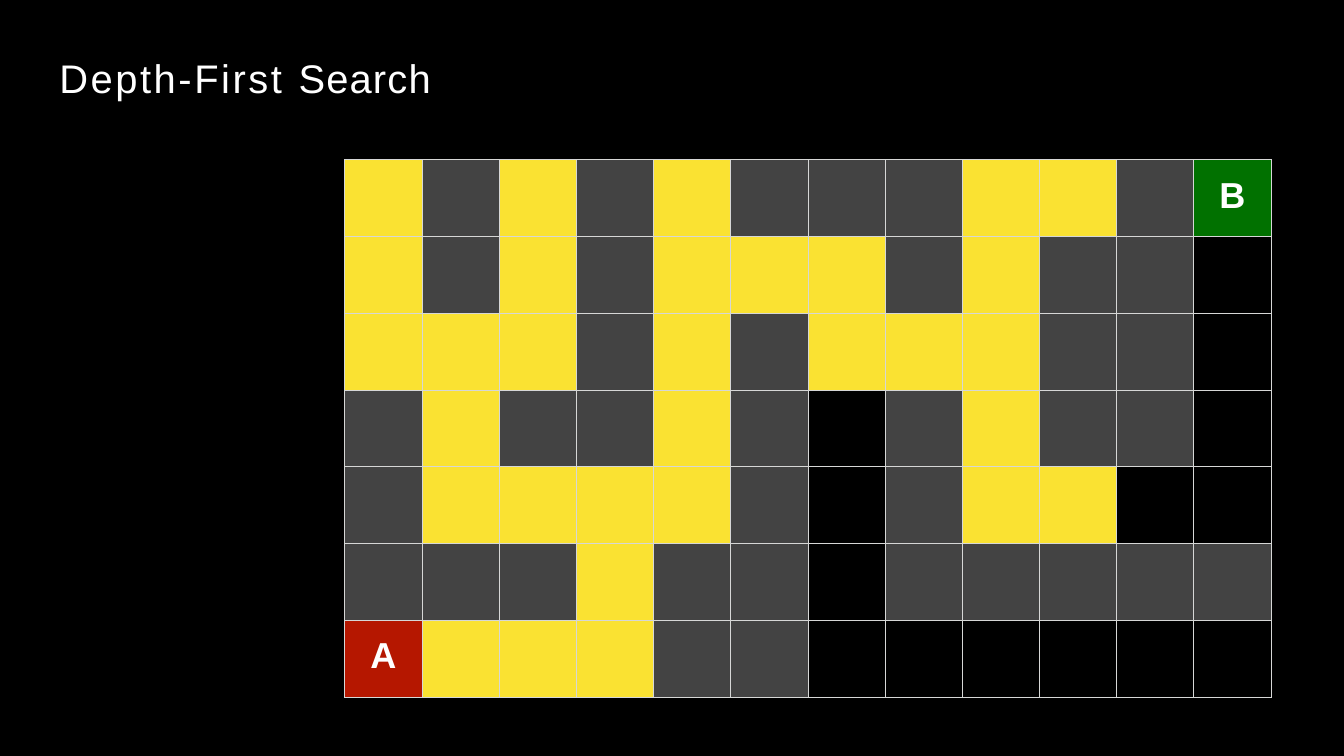
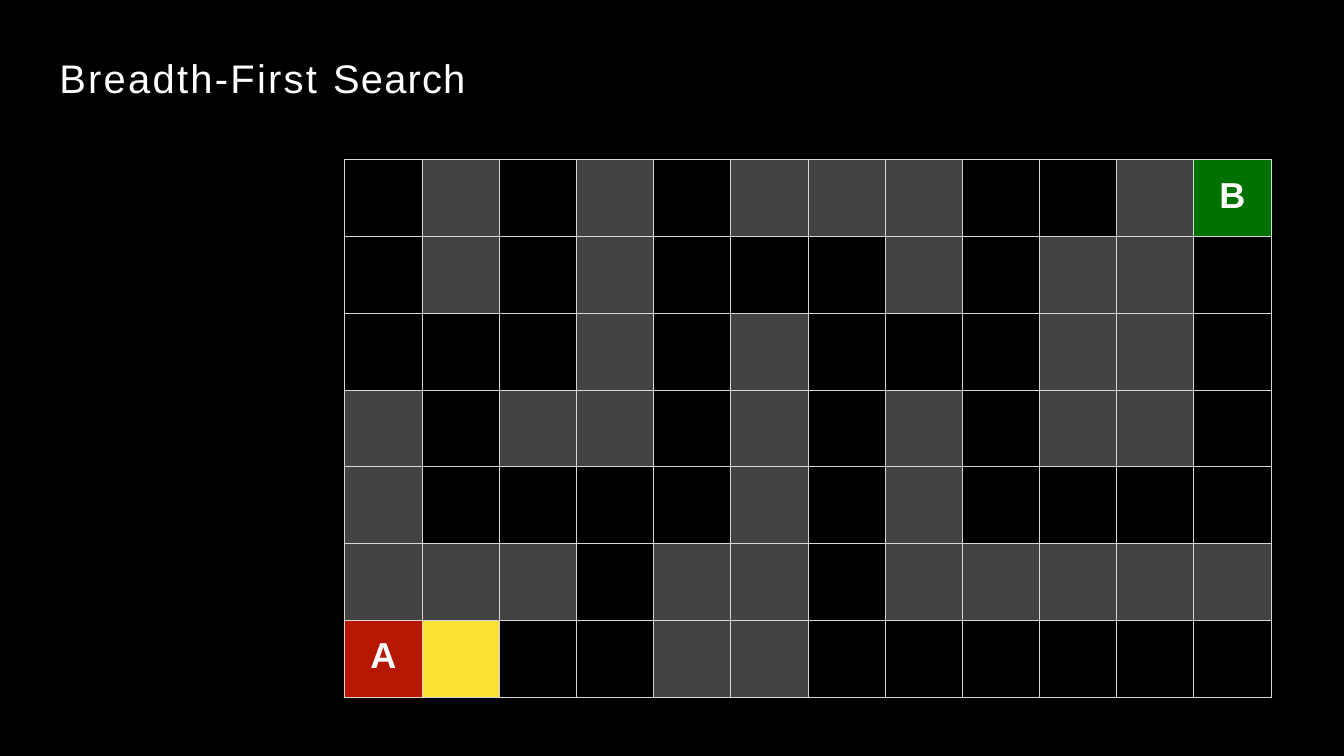
from lxml.etree import SubElement
from pptx import Presentation
from pptx.dml.color import RGBColor
from pptx.enum.text import MSO_ANCHOR as Anchor, MSO_AUTO_SIZE as AutoSize, PP_ALIGN as Align
from pptx.oxml.ns import qn
from pptx.util import Inches, Pt

BLACK, WHITE, BORDER, YELLOW = "000000", "FFFFFF", "D6D7D6", "FAE232"
FILLS = {".": BLACK, "#": "434343", "A": "B51700", "B": "017100"}

MAZE = [
    ".#.#.###..#B",
    ".#.#...#.##.",
    "...#.#...##.",
    "#.##.#.#.##.",
    "#....#.#....",
    "###.##.#####",
    "A...##......",
]

SEARCHES = [
    ("Depth-First ", 3, 27.74, [
        (0, 2, 4, 8, 9),
        (0, 2, 4, 5, 6, 8),
        (0, 1, 2, 4, 6, 7, 8),
        (1, 4, 8),
        (1, 2, 3, 4, 8, 9),
        (3,),
        (1, 2, 3),
    ]),
    ("Breadth-First ", 2.7, 30.38, [(), (), (), (), (), (), (1,)]),
]


def color(code):
    return RGBColor.from_string(code)


class Deck:
    """Holds the shared style and the current slide; lengths are percent of the slide."""

    def __init__(self, width, height):
        self.presentation = Presentation()
        self.presentation.slide_width = Inches(width)
        self.presentation.slide_height = Inches(height)
        background = self.presentation.slide_master.background.fill
        background.solid()
        background.fore_color.rgb = color(BLACK)
        self.slide = None

    def box(self, left, top, width, height):
        across = self.presentation.slide_width / 100
        down = self.presentation.slide_height / 100
        return [round(n) for n in (left * across, top * down, width * across, height * down)]

    def style(self, paragraph, size, align, bold=False):
        paragraph.alignment = align
        font = paragraph.font
        font.name, font.size, font.bold = "Arial", Pt(size), bold
        font.color.rgb = color(WHITE)

    def add_slide(self):
        layout = self.presentation.slide_layouts[5]
        self.slide = self.presentation.slides.add_slide(layout)

    def title(self, parts, width):
        shape = self.slide.shapes.title
        shape.left, shape.top, shape.width, shape.height = self.box(4.37, 6.95, width, 6.55)
        frame = shape.text_frame
        frame.margin_left = frame.margin_top = Inches(0.01)
        frame.margin_right = frame.margin_bottom = 0
        frame.vertical_anchor = Anchor.TOP
        frame.word_wrap = True
        frame.auto_size = AutoSize.SHAPE_TO_FIT_TEXT
        paragraph = frame.paragraphs[0]
        self.style(paragraph, 47, Align.LEFT)
        for text, spacing in parts:
            run = paragraph.add_run()
            run.text = text
            run._r.get_or_add_rPr().set("spc", str(round(spacing * 100)))

    def borders(self, cell):
        properties = cell._tc.get_or_add_tcPr()
        for side in ("a:lnL", "a:lnR", "a:lnT", "a:lnB"):
            line = SubElement(properties, qn(side), w=str(Pt(1)))
            fill = SubElement(line, qn("a:solidFill"))
            SubElement(fill, qn("a:srgbClr"), val=BORDER)

    def maze(self, rows, explored):
        frame = self.slide.shapes.add_table(
            len(rows), len(rows[0]), *self.box(25.65, 21.1, 68.94, 71.14))
        table = frame.table
        table.first_row = table.horz_banding = False
        for r, row in enumerate(rows):
            for c, mark in enumerate(row):
                cell = table.cell(r, c)
                self.borders(cell)
                cell.fill.solid()
                cell.fill.fore_color.rgb = color(YELLOW if c in explored[r] else FILLS[mark])
                if mark.isalpha():
                    self.label(cell, mark)

    def label(self, cell, text):
        cell.margin_left = cell.margin_right = cell.margin_bottom = 0
        cell.margin_top = Inches(0.26)
        cell.text = text
        self.style(cell.text_frame.paragraphs[0], 42.5, Align.CENTER, bold=True)


def main():
    deck = Deck(21.99, 12.37)
    for name, spacing, width, explored in SEARCHES:
        deck.add_slide()
        deck.maze(MAZE, explored)
        deck.title([(name, spacing), ("Search", 1.4)], width)
    deck.presentation.save("out.pptx")


if __name__ == "__main__":
    main()
